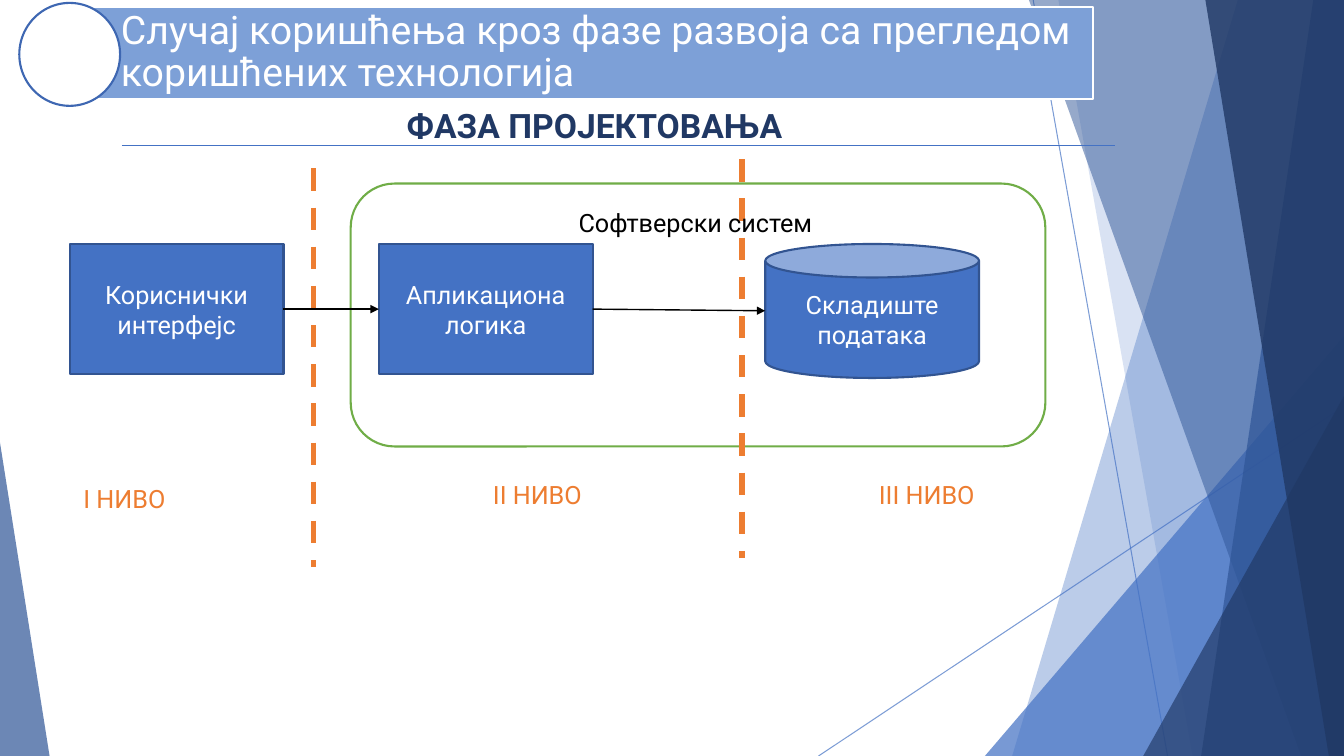
from dataclasses import dataclass

import pptx
import pptx.dml.color
import pptx.enum.dml
import pptx.enum.shapes
import pptx.enum.text
import pptx.oxml
import pptx.oxml.ns
import pptx.util

RGB = pptx.dml.color.RGBColor
KIND = pptx.enum.shapes.MSO_SHAPE
ALIGN = pptx.enum.text.PP_ALIGN
ANCHOR = pptx.enum.text.MSO_ANCHOR
DASH = pptx.enum.dml.MSO_LINE

BLUE = RGB(0x44, 0x72, 0xC4)
DEEP = RGB(0x2F, 0x55, 0x97)
NAVY = RGB(0x20, 0x38, 0x64)
EDGE = RGB(0x32, 0x54, 0x91)
RING = RGB(0x3E, 0x67, 0xB2)
BAND = RGB(0x7D, 0xA0, 0xD7)
GREEN = RGB(0x70, 0xAD, 0x47)
ORANGE = RGB(0xED, 0x7D, 0x31)
WHITE = RGB(0xFF, 0xFF, 0xFF)
BLACK = RGB(0, 0, 0)

FONT = "Roboto"
COLS, ROWS = 32, 18
CELL = pptx.util.Inches(7.5) / ROWS


@dataclass
class Area:
    """A rectangle in grid columns and rows."""
    col: float
    row: float
    wide: float
    high: float

    def place(self) -> list[int]:
        return [cells(n) for n in (self.col, self.row, self.wide, self.high)]


@dataclass
class Facet:
    """A background shard from its slanted left side to the right slide edge."""
    top: float
    base: float
    color: RGB
    alpha: int


@dataclass
class Wedge:
    """A background triangle; peak is the share of its width where the apex lies."""
    area: Area
    peak: float
    color: RGB
    alpha: int


@dataclass
class Label:
    text: str
    area: Area
    color: RGB = ORANGE
    size: int = 18
    bold: bool = False
    align: ALIGN = ALIGN.LEFT


@dataclass
class Node:
    text: str
    kind: KIND
    area: Area


SHARDS = [
    Facet(29.47, 24.1, BLUE, 36),
    Facet(25.2, 28.4, BLUE, 20),
    Wedge(Area(23.45, 8, 8.55, 10), 1, BLUE, 72),
    Facet(24.5, 30.98, DEEP, 50),
    Facet(31.27, 28.6, DEEP, 70),
    Facet(28.7, 31.64, NAVY, 80),
    Wedge(Area(27.22, 9.43, 4.78, 8.57), 1, NAVY, 66),
    Wedge(Area(0, 10.54, 1.18, 7.46), 0, DEEP, 70),
]
NODES = [
    Node("Кориснички интерфејс", KIND.RECTANGLE, Area(1.66, 5.81, 5.09, 3.1)),
    Node("Апликациона логика", KIND.RECTANGLE, Area(9.02, 5.81, 5.09, 3.1)),
    Node("Складиште података", KIND.CAN, Area(18.22, 5.81, 5.09, 3.19)),
]
PHASE = Label("ФАЗА ПРОЈЕКТОВАЊА", Area(5.66, 2.38, 16.99, 1.2), NAVY, 24, True, ALIGN.CENTER)
LABELS = [
    Label("Софтверски систем", Area(13.54, 4.82, 6.1, 0.96), BLACK),
    Label("I НИВО", Area(1.75, 11.4, 5.23, 0.96)),
    Label("II НИВО", Area(11.5, 11.3, 5.23, 0.96)),
    Label("III НИВО", Area(20.69, 11.3, 5.23, 0.96)),
]


def cells(count: float) -> int:
    return round(count * CELL)


def fade(fill, alpha: int) -> None:
    """Set the opacity, in percent, of a solid fill or line fill."""
    tone = fill._xPr.find(".//" + pptx.oxml.ns.qn("a:srgbClr"))
    pptx.oxml.ns.qn("a:alpha")
    mark = tone.makeelement(pptx.oxml.ns.qn("a:alpha"), {"val": str(alpha * 1000)})
    tone.append(mark)


def paint(shape, fill: RGB, edge: RGB | None = None) -> None:
    shape.shadow.inherit = False
    shape.fill.solid()
    shape.fill.fore_color.rgb = fill
    if edge is None:
        shape.line.fill.background()
    else:
        shape.line.color.rgb = edge
        shape.line.width = pptx.util.Pt(1.5)


def write(shape, text: str, size: int, color: RGB, align: ALIGN, bold: bool = False) -> None:
    shape.text_frame.word_wrap = True
    shape.text_frame.text = text
    para = shape.text_frame.paragraphs[0]
    para.alignment = align
    para.font.name = FONT
    para.font.size = pptx.util.Pt(size)
    para.font.bold = bold
    para.font.color.rgb = color


def add_line(slide, start: tuple, end: tuple, color: RGB, width: float, arrow: bool = False):
    line = slide.shapes.add_connector(
        pptx.enum.shapes.MSO_CONNECTOR.STRAIGHT, *map(cells, start + end))
    line.line.color.rgb = color
    line.line.width = pptx.util.Pt(width)
    props = line.element.spPr
    if arrow:
        tail = pptx.oxml.ns.qn("a:tailEnd")
        props.ln.append(props.makeelement(tail, {"type": "triangle"}))
    props.append(props.makeelement(pptx.oxml.ns.qn("a:effectLst"), {}))
    return line


def add_shard(slide, shard: Facet | Wedge) -> None:
    if isinstance(shard, Facet):
        path = slide.shapes.build_freeform(cells(shard.top), 0)
        ends = [(COLS, 0), (COLS, ROWS), (shard.base, ROWS)]
        path.add_line_segments([(cells(x), cells(y)) for x, y in ends])
        shape = path.convert_to_shape()
    else:
        shape = slide.shapes.add_shape(KIND.ISOSCELES_TRIANGLE, *shard.area.place())
        shape.adjustments[0] = shard.peak
    paint(shape, shard.color)
    fade(shape.fill, shard.alpha)


def add_label(slide, label: Label) -> None:
    box = slide.shapes.add_textbox(*label.area.place())
    write(box, label.text, label.size, label.color, label.align, label.bold)


def add_node(slide, node: Node):
    shape = slide.shapes.add_shape(node.kind, *node.area.place())
    paint(shape, BLUE, EDGE)
    write(shape, node.text, 18, WHITE, ALIGN.CENTER)
    shape.text_frame.vertical_anchor = ANCHOR.MIDDLE
    return shape


def set_title(slide) -> None:
    title = slide.shapes.title
    title.element.getparent().append(title.element)  # in front of the shards
    title.left, title.top, title.width, title.height = Area(2.21, 0.17, 23.81, 2.18).place()
    paint(title, BAND, WHITE)
    write(title, "Случај коришћења кроз фазе развоја са прегледом коришћених технологија",
          28, WHITE, ALIGN.LEFT)
    frame = title.text_frame
    frame.auto_size = pptx.enum.text.MSO_AUTO_SIZE.NONE
    frame.vertical_anchor = ANCHOR.MIDDLE
    frame.margin_left = cells(0.67)
    frame.margin_right = frame.margin_top = frame.margin_bottom = cells(0.19)
    frame.paragraphs[0].line_spacing = 0.9


def main() -> None:
    deck = pptx.Presentation()
    deck.slide_width, deck.slide_height = cells(COLS), cells(ROWS)
    slide = deck.slides.add_slide(deck.slide_layouts.get_by_name("Title Only"))

    for start, end in [((24.6, 0), (27.8, 18)), ((32, 9.67), (19.49, 18))]:
        fade(add_line(slide, start, end, BLUE, 0.75).line.fill, 70)
    for shard in SHARDS:
        add_shard(slide, shard)

    system = slide.shapes.add_shape(KIND.ROUNDED_RECTANGLE, *Area(8.35, 4.37, 16.54, 6.26).place())
    paint(system, WHITE, GREEN)
    set_title(slide)
    ring = slide.shapes.add_shape(KIND.OVAL, *Area(0.46, 0.07, 2.4, 2.45).place())
    paint(ring, WHITE, RING)
    add_label(slide, PHASE)
    add_line(slide, (2.9, 3.46), (26.54, 3.46), BLUE, 1)

    front, logic, _ = [add_node(slide, node) for node in NODES]
    call = add_line(slide, (6.75, 7.36), (9.02, 7.36), BLACK, 1, arrow=True)
    call.begin_connect(front, 3)
    call.end_connect(logic, 1)
    store = add_line(slide, (14.11, 7.36), (18.22, 7.4), BLACK, 1, arrow=True)
    store.begin_connect(logic, 3)

    for col, top in [(7.46, 4.01), (17.66, 3.79)]:
        split = add_line(slide, (col, top), (col, top + 9.49), ORANGE, 4)
        split.line.dash_style = DASH.DASH
    for label in LABELS:
        add_label(slide, label)
    deck.save("out.pptx")


if __name__ == "__main__":
    main()
